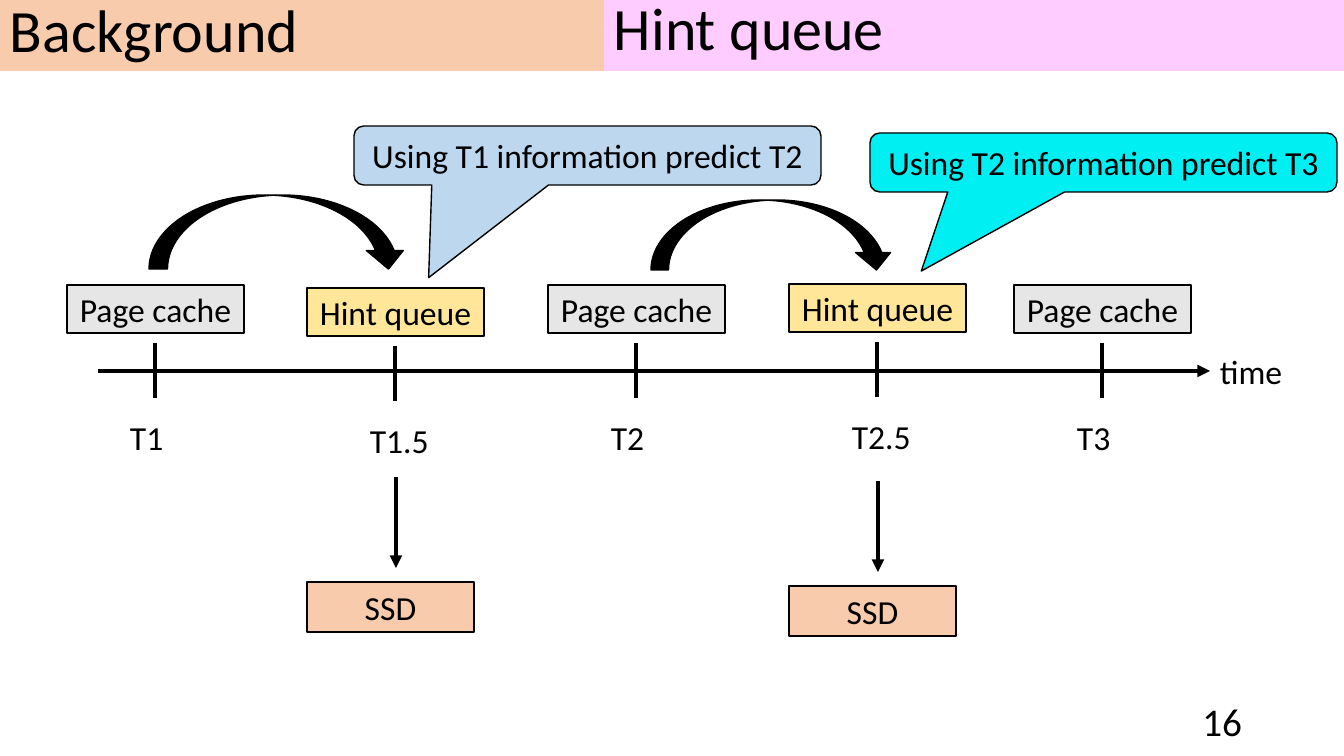
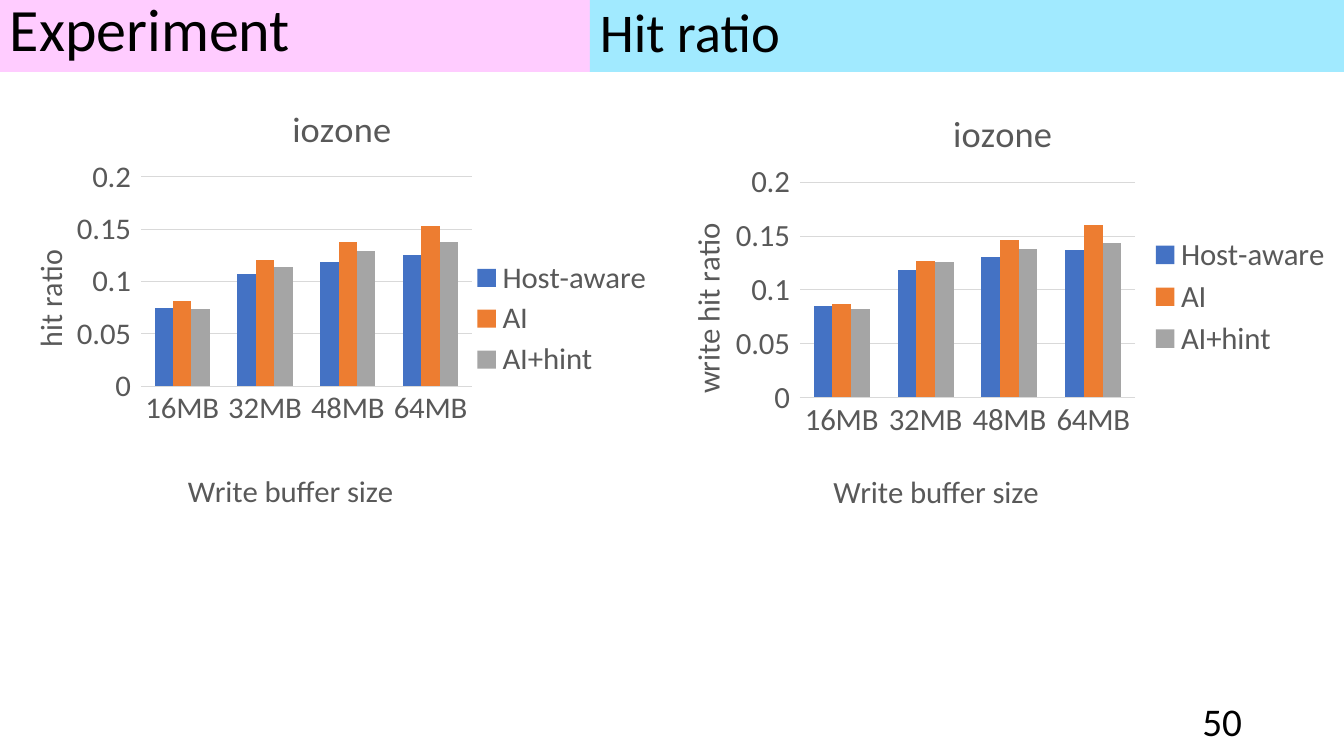
from dataclasses import dataclass

from lxml.etree import SubElement
from pptx import Presentation
from pptx.chart.data import CategoryChartData
from pptx.dml.color import RGBColor
from pptx.enum.chart import XL_CHART_TYPE, XL_LEGEND_POSITION, XL_TICK_MARK
from pptx.enum.shapes import MSO_CONNECTOR, MSO_SHAPE
from pptx.enum.text import MSO_ANCHOR, PP_ALIGN
from pptx.oxml.ns import qn
from pptx.util import Pt


@dataclass(frozen=True)
class Theme:
    font: str = "Calibri"
    ink: str = "000000"
    pink: str = "FFCCFF"
    peach: str = "F8CBAD"
    sky: str = "A1EAFF"
    cache: str = "E7E6E6"
    queue: str = "FFE699"
    blue_note: str = "BDD7EE"
    cyan_note: str = "00EFF2"
    chart_ink: str = "595959"
    grid: str = "D9D9D9"
    series: tuple = ("4472C4", "ED7D31", "A5A5A5")
    title_size: float = 42.9
    subtitle_size: float = 39
    page_size: float = 28
    body_size: float = 24
    chart_title_size: float = 26
    chart_size: float = 22
    outline: float = 1
    stroke: float = 3
    hairline: float = 0.75


THEME = Theme()
EMU_PER_PX = 914400 / 100.8
SLIDE_W, SLIDE_H = 1344, 756
SIZES = ("16MB", "32MB", "48MB", "64MB")
POLICIES = ("Host-aware", "AI", "AI+hint")


def emu(*lengths):
    return [round(length * EMU_PER_PX) for length in lengths]


def rgb(value):
    return RGBColor.from_string(value)


def style_font(font, size, color=THEME.chart_ink):
    font.name = THEME.font
    font.size = Pt(size)
    font.bold = False
    font.color.rgb = rgb(color)


def write(frame, text, size=THEME.body_size, color=THEME.ink, align=None,
          anchor=None, spacing=None, wrap=None):
    if anchor is not None:
        frame.vertical_anchor = anchor
    if wrap is not None:
        frame.word_wrap = wrap
    paragraph = frame.paragraphs[0]
    paragraph.alignment = align
    paragraph.line_spacing = spacing
    run = paragraph.add_run()
    run.text = text
    style_font(run.font, size, color)


def add_block(slide, kind, box, fill, outlined=True):
    block = slide.shapes.add_shape(kind, *emu(*box))
    block.shadow.inherit = False
    block.fill.solid()
    block.fill.fore_color.rgb = rgb(fill)
    if outlined:
        block.line.color.rgb = rgb(THEME.ink)
        block.line.width = Pt(THEME.outline)
    else:
        block.line.fill.background()
    return block


def add_labelled(slide, box, text, fill, kind=MSO_SHAPE.RECTANGLE):
    block = add_block(slide, kind, box, fill)
    write(block.text_frame, text, align=PP_ALIGN.CENTER,
          anchor=MSO_ANCHOR.MIDDLE, wrap=False)
    return block


def add_text(slide, box, text, **text_format):
    label = slide.shapes.add_textbox(*emu(*box))
    write(label.text_frame, text, **text_format)


def add_stroke(slide, start, end, arrow=False):
    stroke = slide.shapes.add_connector(
        MSO_CONNECTOR.STRAIGHT, *emu(*start, *end))
    stroke.line.color.rgb = rgb(THEME.ink)
    stroke.line.width = Pt(THEME.stroke)
    properties = stroke._element.spPr
    if arrow:
        SubElement(stroke.line._get_or_add_ln(), qn("a:tailEnd"),
                   type="triangle")
    SubElement(properties, qn("a:effectLst"))


def add_band(slide, box, text, fill, size=THEME.title_size, spacing=0.8,
             anchor=MSO_ANCHOR.TOP):
    band = add_block(slide, MSO_SHAPE.RECTANGLE, box, fill, outlined=False)
    write(band.text_frame, text, size=size, align=PP_ALIGN.LEFT,
          anchor=anchor, spacing=spacing, wrap=True)


def add_page_number(slide, number):
    add_text(slide, (950, 701, 302, 40), number, size=THEME.page_size,
             align=PP_ALIGN.RIGHT, anchor=MSO_ANCHOR.MIDDLE, wrap=True)


def add_event(slide, left, top, name, moment, fill):
    width, height = 177, 48
    middle = left + width // 2
    add_stroke(slide, (middle, top + 58), (middle, top + 113))
    add_labelled(slide, (left, top, width, height), name, fill)
    add_text(slide, (left + 53, top + 127, 80, 50), moment, wrap=False)


def add_storage(slide, left, top):
    middle = left + 89
    add_stroke(slide, (middle, top - 105), (middle, top - 14), arrow=True)
    add_labelled(slide, (left, top, 167, 50), "SSD", THEME.peach)


def add_prediction(slide, box, text, fill, tail):
    note = add_labelled(slide, box, text, fill,
                        MSO_SHAPE.ROUNDED_RECTANGULAR_CALLOUT)
    note.adjustments[0], note.adjustments[1] = tail


def place(element, index, **fractions):
    for old in element.findall(qn("c:layout")):
        element.remove(old)
    layout = SubElement(element, qn("c:layout"))
    element.insert(index, layout)
    manual = SubElement(layout, qn("c:manualLayout"))
    if element.tag == qn("c:plotArea"):
        SubElement(manual, qn("c:layoutTarget"), val="inner")
    for side in ("x", "y"):
        SubElement(manual, qn(f"c:{side}Mode"), val="edge")
    for side, fraction in fractions.items():
        SubElement(manual, qn(f"c:{side}"), val=str(fraction))


def add_chart_title(title, text, spot, size=THEME.chart_size):
    write(title.text_frame, text, size=size, color=THEME.chart_ink)
    place(title._element, 1, x=spot[0], y=spot[1])


def add_ratio_chart(slide, box, ratio_name, ratios, size_spot, ratio_spot,
                    legend_spot):
    data = CategoryChartData()
    data.categories = SIZES
    for policy, values in zip(POLICIES, ratios):
        data.add_series(policy, values)
    chart = slide.shapes.add_chart(
        XL_CHART_TYPE.COLUMN_CLUSTERED, *emu(*box), data).chart
    style_font(chart.font, THEME.chart_size)
    chart.has_title = True
    add_chart_title(chart.chart_title, "iozone", (0.43, 0.06),
                    THEME.chart_title_size)

    plot = chart.plots[0]
    plot.gap_width = 150
    plot.overlap = 0
    plot.vary_by_categories = False
    for bars, color in zip(plot.series, THEME.series):
        bars.format.fill.solid()
        bars.format.fill.fore_color.rgb = rgb(color)
    place(chart._chartSpace.chart.plotArea, 0, x=0.22, y=0.24, w=0.48, h=0.48)

    sizes, scale = chart.category_axis, chart.value_axis
    sizes.major_tick_mark = XL_TICK_MARK.NONE
    scale.major_tick_mark = XL_TICK_MARK.OUTSIDE
    scale.minimum_scale, scale.maximum_scale = 0, 0.2
    scale.major_unit = 0.05
    scale.tick_labels.number_format = "General"
    scale.tick_labels.number_format_is_linked = False
    scale.format.line.fill.background()
    for line in (sizes.format.line, scale.major_gridlines.format.line):
        line.color.rgb = rgb(THEME.grid)
        line.width = Pt(THEME.hairline)
    for axis in (sizes, scale):
        style_font(axis.tick_labels.font, THEME.chart_size)
    add_chart_title(sizes.axis_title, "Write buffer size", size_spot)
    add_chart_title(scale.axis_title, ratio_name, ratio_spot)
    turned = scale.axis_title.text_frame._txBody.bodyPr
    turned.set("rot", "-5400000")
    turned.set("vert", "horz")

    chart.has_legend = True
    chart.legend.position = XL_LEGEND_POSITION.RIGHT
    chart.legend.include_in_layout = False
    style_font(chart.legend.font, THEME.chart_size)
    place(chart.legend._element, 1, x=legend_spot[0], y=legend_spot[1],
          w=0.26, h=0.29)


def build_hint_queue(slide):
    add_page_number(slide, "16")
    add_band(slide, (604, -1, 740, 72), "Hint queue", THEME.pink)
    add_band(slide, (0, -1, 604, 72), "Background", THEME.peach,
             anchor=MSO_ANCHOR.MIDDLE)
    add_stroke(slide, (98, 371), (1210, 371), arrow=True)
    add_text(slide, (1210, 346, 96, 50), "time", wrap=False)

    for left, top, moment in ((67, 285, "T1"), (548, 285, "T2"),
                              (1014, 285, "T3")):
        add_event(slide, left, top, "Page cache", moment, THEME.cache)
    for left, top, moment, storage_top in ((307, 288, "T1.5", 582),
                                           (789, 284, "T2.5", 586)):
        add_event(slide, left, top, "Hint queue", moment, THEME.queue)
        add_storage(slide, left, storage_top)

    for jump in ((149, 195, 258, 74), (651, 200, 243, 70)):
        add_block(slide, MSO_SHAPE.CURVED_DOWN_ARROW, jump, THEME.ink)
    add_prediction(slide, (354, 126, 467, 59),
                   "Using T1 information predict T2", THEME.blue_note,
                   (-0.34, 2.07))
    add_prediction(slide, (870, 133, 467, 59),
                   "Using T2 information predict T3", THEME.cyan_note,
                   (-0.39, 1.84))


def build_hit_ratio(slide):
    add_page_number(slide, "50")
    add_band(slide, (0, 0, SLIDE_W, 72), "Experiment", THEME.pink)
    add_band(slide, (590, -3, 754, 75), "Hit ratio", THEME.sky,
             size=THEME.subtitle_size, spacing=0.9, anchor=MSO_ANCHOR.MIDDLE)
    add_ratio_chart(slide, (-11, 72, 690, 448), "hit ratio",
                    ((0.075, 0.107, 0.119, 0.125),
                     (0.081, 0.121, 0.138, 0.153),
                     (0.074, 0.114, 0.129, 0.138)),
                    size_spot=(0.28, 0.9), ratio_spot=(0.05, 0.4),
                    legend_spot=(0.7, 0.42))
    add_ratio_chart(slide, (646, 75, 699, 448), "write hit ratio",
                    ((0.085, 0.119, 0.131, 0.137),
                     (0.087, 0.127, 0.146, 0.16),
                     (0.082, 0.126, 0.138, 0.144)),
                    size_spot=(0.26, 0.87), ratio_spot=(0.05, 0.32),
                    legend_spot=(0.72, 0.35))


def main():
    deck = Presentation()
    deck.slide_width, deck.slide_height = emu(SLIDE_W, SLIDE_H)
    for build in (build_hint_queue, build_hit_ratio):
        build(deck.slides.add_slide(deck.slide_layouts[6]))
    deck.save("out.pptx")


if __name__ == "__main__":
    main()
